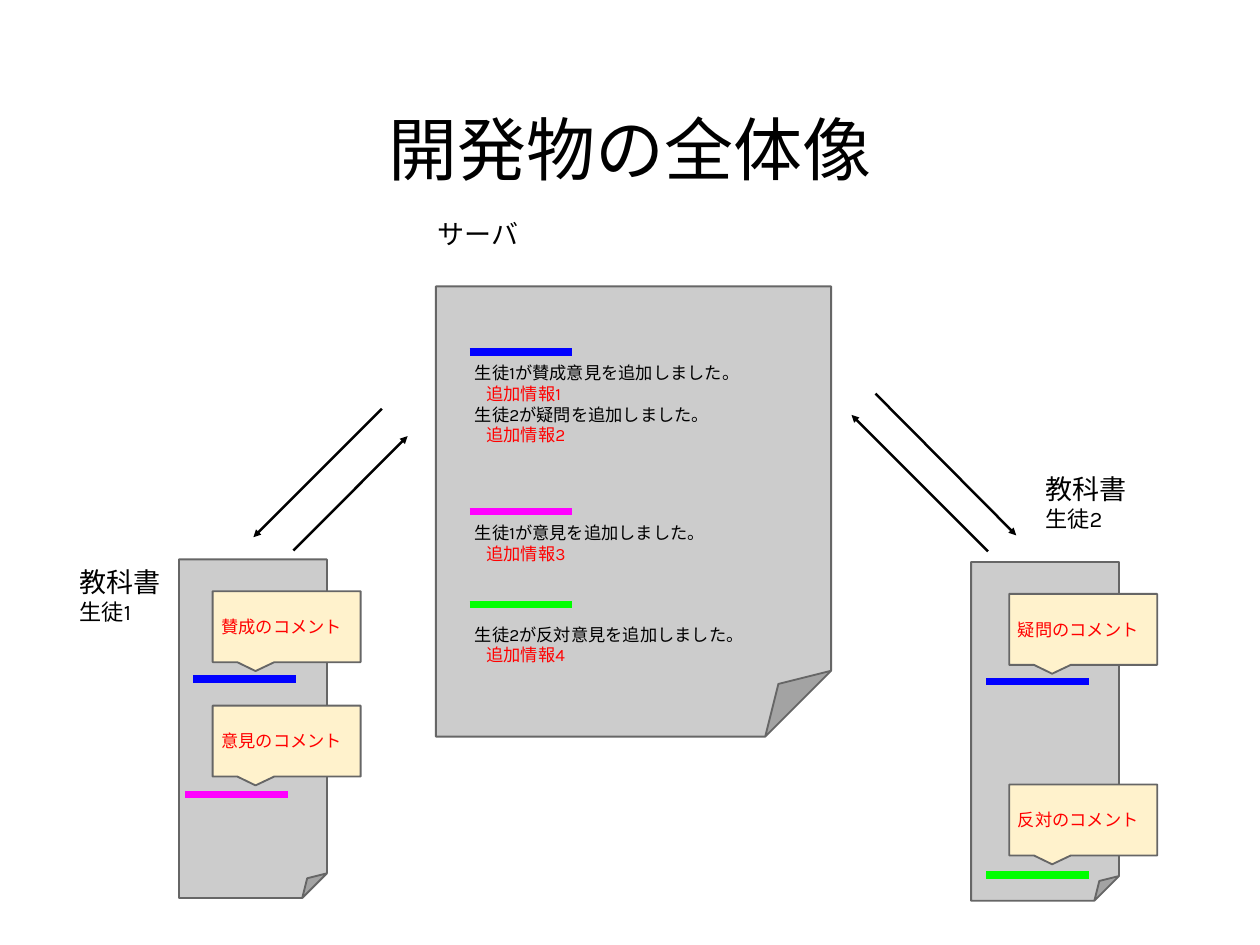
from lxml import etree
from pptx import Presentation
from pptx.dml.color import RGBColor
from pptx.enum import shapes, text
from pptx.oxml.ns import qn
from pptx.util import Inches, Pt

BLACK = RGBColor(0, 0, 0)
RED = RGBColor(0xFF, 0, 0)
BLUE = RGBColor(0, 0, 0xFF)
PINK = RGBColor(0xFF, 0, 0xFF)
GREEN = RGBColor(0, 0xFF, 0)
GRAY = RGBColor(0xCC, 0xCC, 0xCC)
EDGE = RGBColor(0x66, 0x66, 0x66)
CREAM = RGBColor(0xFF, 0xF2, 0xCC)
CJK = "Noto Sans CJK JP"
MIDDLE = text.MSO_ANCHOR.MIDDLE
TOP = text.MSO_ANCHOR.TOP

deck = Presentation()
deck.slide_width, deck.slide_height = Inches(14.22), Inches(10.66)
slide = deck.slides.add_slide(deck.slide_layouts[6])


def write(frame, words, size=14, font="Karla", color=BLACK, indent=0,
          align=text.PP_ALIGN.LEFT, first=False):
    """Adds one paragraph to a text frame."""
    para = frame.paragraphs[0] if first else frame.add_paragraph()
    para.alignment = align
    if indent:
        para._p.get_or_add_pPr().set("marL", str(Inches(indent)))
    run = para.add_run()
    run.text = words
    run.font.size, run.font.name = Pt(size), font
    run.font.color.rgb = color
    east = etree.SubElement(run._r.get_or_add_rPr(), qn("a:ea"))
    east.set("typeface", font)


def setup(frame, anchor=TOP, inset=0.1):
    frame.word_wrap = True
    frame.vertical_anchor = anchor
    frame.margin_left = frame.margin_right = Inches(inset)
    frame.margin_top = frame.margin_bottom = Inches(inset)
    return frame


def box(x, y, w, h, anchor=TOP, inset=0.1):
    area = slide.shapes.add_textbox(*map(Inches, (x, y, w, h)))
    return setup(area.text_frame, anchor, inset)


def solid(kind, x, y, w, h, color):
    item = slide.shapes.add_shape(kind, *map(Inches, (x, y, w, h)))
    item.shadow.inherit = False
    item.fill.solid()
    item.fill.fore_color.rgb = color
    item.line.color.rgb = EDGE
    item.line.width = Pt(1.5)
    return item


def paper(x, y, w, h):
    solid(shapes.MSO_SHAPE.FOLDED_CORNER, x, y, w, h, GRAY)


def line(x1, y1, x2, y2, color=BLACK, width=2, arrow=False):
    link = slide.shapes.add_connector(
        shapes.MSO_CONNECTOR.STRAIGHT, *map(Inches, (x1, y1, x2, y2)))
    link.line.color.rgb = color
    link.line.width = Pt(width)
    if arrow:
        etree.SubElement(link.line._ln, qn("a:tailEnd")).set("type", "triangle")
    etree.SubElement(link._element.spPr, qn("a:effectLst"))


def bar(x, y, color):
    line(x, y, x + 1.16, y, color, 6)


def note(x, y, words):
    call = solid(shapes.MSO_SHAPE.RECTANGULAR_CALLOUT, x, y, 1.67, 0.8, CREAM)
    call.adjustments[0], call.adjustments[1] = -0.21, 0.625
    write(setup(call.text_frame, MIDDLE), words, font="Arial", color=RED,
          first=True)


def label(x, y, w, h, head, sub=None):
    frame = box(x, y, w, h)
    write(frame, head, 22, "Arial", first=True)
    if sub:
        write(frame, sub, 18)


def book(x, y, notes):
    """Student's textbook page; notes hold offsets from its corner."""
    paper(x, y, 1.67, 3.82)
    for words, dx, dy, bx, by, color in notes:
        note(x + dx, y + dy, words)
        bar(x + bx, y + by, color)


def server(x, y, w, h):
    paper(x, y, w, h)
    entries = [
        (0.74, BLUE, 0.76, 1.38, TOP,
         [("生徒1が賛成意見を追加しました。", "追加情報1"),
          ("生徒2が疑問を追加しました。", "追加情報2")]),
        (2.54, PINK, 2.56, 0.74, TOP,
         [("生徒1が意見を追加しました。", "追加情報3")]),
        (3.59, GREEN, 3.67, 0.74, MIDDLE,
         [("生徒2が反対意見を追加しました。", "追加情報4")]),
    ]
    for rule, color, top, tall, anchor, pairs in entries:
        bar(x + 0.38, y + rule, color)
        frame = box(x + 0.34, y + top, 3.78, tall, anchor)
        for spot, (event, info) in enumerate(pairs):
            write(frame, event, first=spot == 0)
            write(frame, info, color=RED, indent=0.13)


# Title
write(box(1.04, 0.49, 12.14, 2.36, MIDDLE, 0), "開発物の全体像", 56, CJK,
      align=text.PP_ALIGN.CENTER, first=True)

# Textbooks of both students
book(2.02, 6.31, [("賛成のコメント", 0.38, 0.36, 0.16, 1.35, BLUE),
                  ("意見のコメント", 0.38, 1.65, 0.07, 2.65, PINK)])
label(0.8, 6.28, 1.74, 0.95, "教科書", "生徒1")
book(10.96, 6.34, [("疑問のコメント", 0.43, 0.36, 0.17, 1.35, BLUE),
                   ("反対のコメント", 0.43, 2.51, 0.17, 3.53, GREEN)])
label(11.7, 5.23, 1.74, 0.95, "教科書", "生徒2")

# Server
server(4.92, 3.23, 4.46, 5.08)
label(4.84, 2.35, 2.07, 0.51, "サーバ")

# Exchange arrows
for ends in [(3.31, 6.21, 4.6, 4.92), (4.31, 4.61, 2.86, 6.06),
             (11.15, 6.22, 9.61, 4.68), (9.88, 4.44, 11.47, 6.04)]:
    line(*ends, arrow=True)

deck.save("out.pptx")
